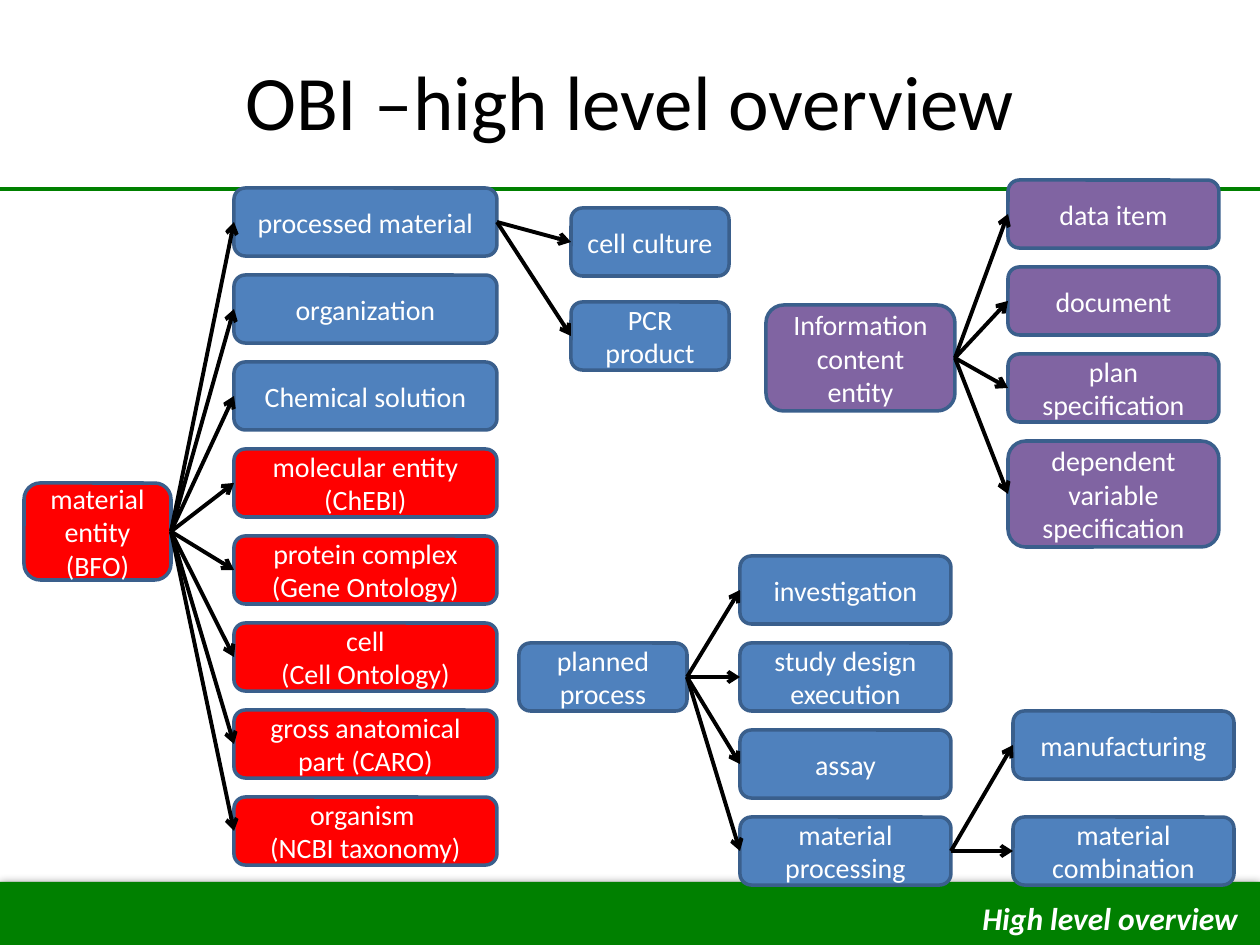
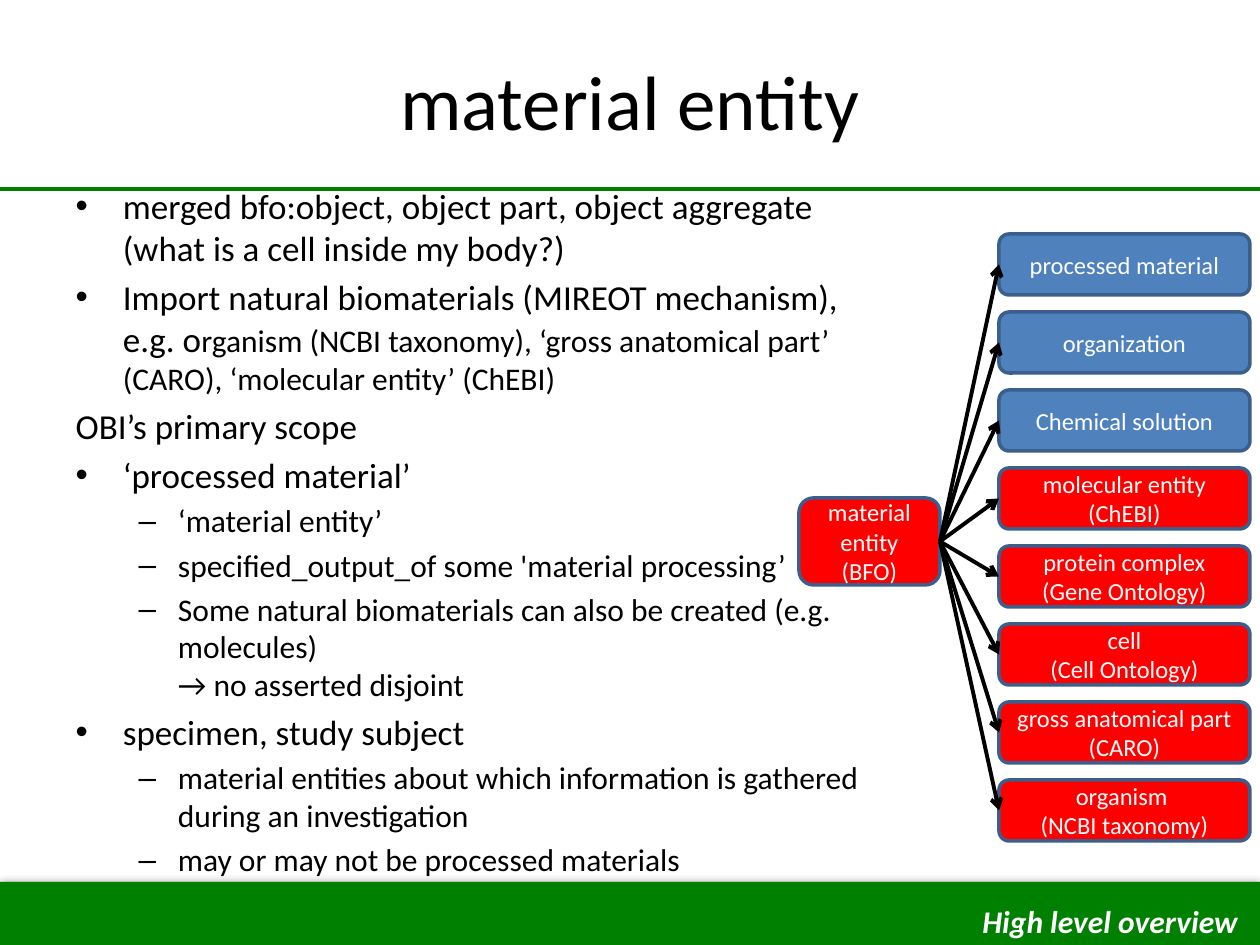
from lxml.etree import SubElement
from pptx import Presentation
from pptx.dml.color import RGBColor
from pptx.enum.shapes import MSO_CONNECTOR, MSO_SHAPE
from pptx.enum.text import MSO_ANCHOR, MSO_AUTO_SIZE, PP_ALIGN
from pptx.oxml.ns import qn
from pptx.util import Emu, Pt

THEME = dict(
    font="Calibri", black="000000", white="FFFFFF", green="008000",
    red="FF0000", blue="4F81BD", purple="8064A2", outline="3A5F8C",
    title=44, body=20, detail=18, footer=18, line=2.25, outline_width=2,
)
SLIDE = (1260, 945)
BAND = (0, 882, 1260, 63)
RULE_Y = 189
TITLE = (63, 21, 1134, 158)
BODY = (63, 178, 877, 693)
FOOTER = "High level overview"

ROOT = "material entity (BFO)"
MATERIALS = [
    ("processed material", "blue"),
    ("organization", "blue"),
    ("Chemical solution", "blue"),
    ("molecular entity (ChEBI)", "red"),
    ("protein complex\n(Gene Ontology)", "red"),
    ("cell\n(Cell Ontology)", "red"),
    ("gross anatomical part (CARO)", "red"),
    ("organism \n(NCBI taxonomy)", "red"),
]


def blue(*labels):
    return [(label, "blue") for label in labels]


OVERVIEW = dict(
    title="OBI –high level overview", footer_y=893, size=16,
    columns=[
        dict(at=(24, 483, 147, 97), items=[(ROOT, "red")]),
        dict(at=(234, 188, 263, 68), step=87, items=MATERIALS, parent=ROOT),
        dict(at=(571, 208, 158, 68), step=94, parent="processed material",
             items=blue("cell culture", "PCR product")),
        dict(at=(519, 643, 168, 68), items=blue("planned process")),
        dict(at=(740, 556, 211, 68), step=87, parent="planned process",
             items=blue("investigation", "study design execution", "assay",
                        "material processing")),
        dict(at=(1013, 711, 221, 68), step=106, parent="material processing",
             items=blue("manufacturing", "material combination")),
        dict(at=(766, 305, 189, 106),
             items=[("Information content entity", "purple")]),
        dict(at=(1008, 180, 211, 68), step=87,
             parent="Information content entity",
             items=[("data item", "purple"), ("document", "purple"),
                    ("plan specification", "purple")]),
        dict(at=(1008, 441, 211, 106), parent="Information content entity",
             items=[("dependent variable specification", "purple")]),
    ],
)

MATERIAL = dict(
    title="material entity", footer_y=896, size=14,
    columns=[
        dict(at=(799, 498, 141, 87), items=[(ROOT, "red")]),
        dict(at=(999, 234, 251, 61), step=78, items=MATERIALS, parent=ROOT),
    ],
    body=[
        ("bullet", [("merged bfo:object, object part, object aggregate \n"
                     "(what is a cell inside my body?)", "body")]),
        ("bullet", [("Import natural biomaterials (MIREOT mechanism), \ne.g. o", "body"),
                    ("rganism (NCBI taxonomy), ‘gross anatomical part’ (CARO), "
                     "‘molecular entity’ (ChEBI)", "detail")]),
        ("plain", [("OBI’s primary scope", "body")]),
        ("bullet", [("‘processed material’", "body")]),
        ("dash", [("‘material entity’", "detail")]),
        ("dash", [("specified_output_of some 'material processing’", "detail")]),
        ("dash", [("Some natural biomaterials can also be created (e.g. molecules) \n"
                   "→ no asserted disjoint", "detail")]),
        ("bullet", [("specimen, study subject", "body")]),
        ("dash", [("material entities about which information is gathered "
                   "during an investigation", "detail")]),
        ("dash", [("may or may not be processed materials", "detail")]),
    ],
)


def px(n):
    return Emu(round(n * 914400 / 126))


def colour(name):
    return RGBColor.from_string(THEME[name])


def place(sp, box):
    for name, value in zip(("left", "top", "width", "height"), box):
        setattr(sp, name, px(value))


def add_text(p, text, size, ink="black", **fmt):
    for i, line in enumerate(text.split("\n")):
        if i:
            p.add_line_break()
            SubElement(p._p[-1], qn("a:rPr")).set("sz", str(size * 100))
        r = p.add_run()
        r.text = line
        for name, value in dict(name=THEME["font"], size=Pt(size), **fmt).items():
            setattr(r.font, name, value)
        r.font.color.rgb = colour(ink)


def add_line(slide, ink, start=(0, 0), end=(0, 0)):
    cx = slide.shapes.add_connector(MSO_CONNECTOR.STRAIGHT, *map(px, start + end))
    cx.line.color.rgb = colour(ink)
    cx.line.width = Pt(THEME["line"])
    SubElement(cx.element.spPr, qn("a:effectLst"))
    return cx


def add_box(slide, kind, box, fill):
    sp = slide.shapes.add_shape(kind, *map(px, box))
    sp.shadow.inherit = False
    sp.fill.solid()
    sp.fill.fore_color.rgb = colour(fill)
    return sp


def add_node(slide, box, label, fill, size):
    sp = add_box(slide, MSO_SHAPE.ROUNDED_RECTANGLE, box, fill)
    sp.line.color.rgb = colour("outline")
    sp.line.width = Pt(THEME["outline_width"])
    tf = sp.text_frame
    tf.word_wrap = True
    tf.vertical_anchor = MSO_ANCHOR.MIDDLE
    p = tf.paragraphs[0]
    p.alignment = PP_ALIGN.CENTER
    add_text(p, label, size, "white")
    return sp


def add_arrow(slide, parent, child):
    cx = add_line(slide, "black")
    cx.begin_connect(parent, 3)
    cx.end_connect(child, 1)
    SubElement(cx.element.spPr.find(qn("a:ln")), qn("a:tailEnd")).set("type", "arrow")


def add_columns(slide, columns, size):
    nodes, links = {}, []
    for col in columns:
        x, y, w, h = col["at"]
        for i, (label, fill) in enumerate(col["items"]):
            box = (x, y + i * col.get("step", 0), w, h)
            nodes[label] = add_node(slide, box, label, fill, size)
            if "parent" in col:
                links.append((col["parent"], label))
    for parent, child in links:
        add_arrow(slide, nodes[parent], nodes[child])


def add_body(sp, paragraphs):
    place(sp, BODY)
    tf = sp.text_frame
    tf.word_wrap = True
    tf.auto_size = MSO_AUTO_SIZE.NONE
    for i, (kind, runs) in enumerate(paragraphs):
        p = tf.add_paragraph() if i else tf.paragraphs[0]
        if kind == "dash":
            p.level = 1
        if i == 0:
            p.space_before = Pt(0)
        if kind == "plain":
            SubElement(p._p.get_or_add_pPr(), qn("a:buNone"))
        for text, size in runs:
            add_text(p, text, THEME[size])


def add_footer(slide, y):
    sp = slide.shapes.add_textbox(*map(px, (970, y, 291, 50)))
    tf = sp.text_frame
    tf.word_wrap = False
    tf.auto_size = MSO_AUTO_SIZE.SHAPE_TO_FIT_TEXT
    add_text(tf.paragraphs[0], FOOTER, THEME["footer"], "white", bold=True, italic=True)


def decorate_master(prs, slide):
    band = add_box(slide, MSO_SHAPE.RECTANGLE, BAND, "green")
    band.line.fill.background()
    effects = band.element.spPr.find(qn("a:effectLst"))
    shadow = SubElement(effects, qn("a:outerShdw"), blurRad=str(Pt(5)), dist="0", dir="0")
    ink = SubElement(shadow, qn("a:srgbClr"), val=THEME["black"])
    SubElement(ink, qn("a:alpha"), val="40000")
    rule = add_line(slide, "green", (0, RULE_Y), (SLIDE[0], RULE_Y))
    for i, sp in enumerate((band, rule)):
        sp.element.xpath(".//p:cNvPr")[0].set("id", str(20 + i))
        prs.slide_master.shapes.element.insert(2 + i, sp.element)


def add_slide(prs, content):
    layout = prs.slide_layouts[1 if "body" in content else 5]
    slide = prs.slides.add_slide(layout)
    title = slide.shapes.title
    place(title, TITLE)
    title.text_frame.vertical_anchor = MSO_ANCHOR.MIDDLE
    p = title.text_frame.paragraphs[0]
    p.alignment = PP_ALIGN.CENTER
    add_text(p, content["title"], THEME["title"])
    if "body" in content:
        add_body(slide.placeholders[1], content["body"])
    add_columns(slide, content["columns"], content["size"])
    add_footer(slide, content["footer_y"])
    return slide


def main():
    prs = Presentation()
    prs.slide_width, prs.slide_height = map(px, SLIDE)
    slides = [add_slide(prs, content) for content in (OVERVIEW, MATERIAL)]
    decorate_master(prs, slides[0])
    prs.save("out.pptx")


if __name__ == "__main__":
    main()
